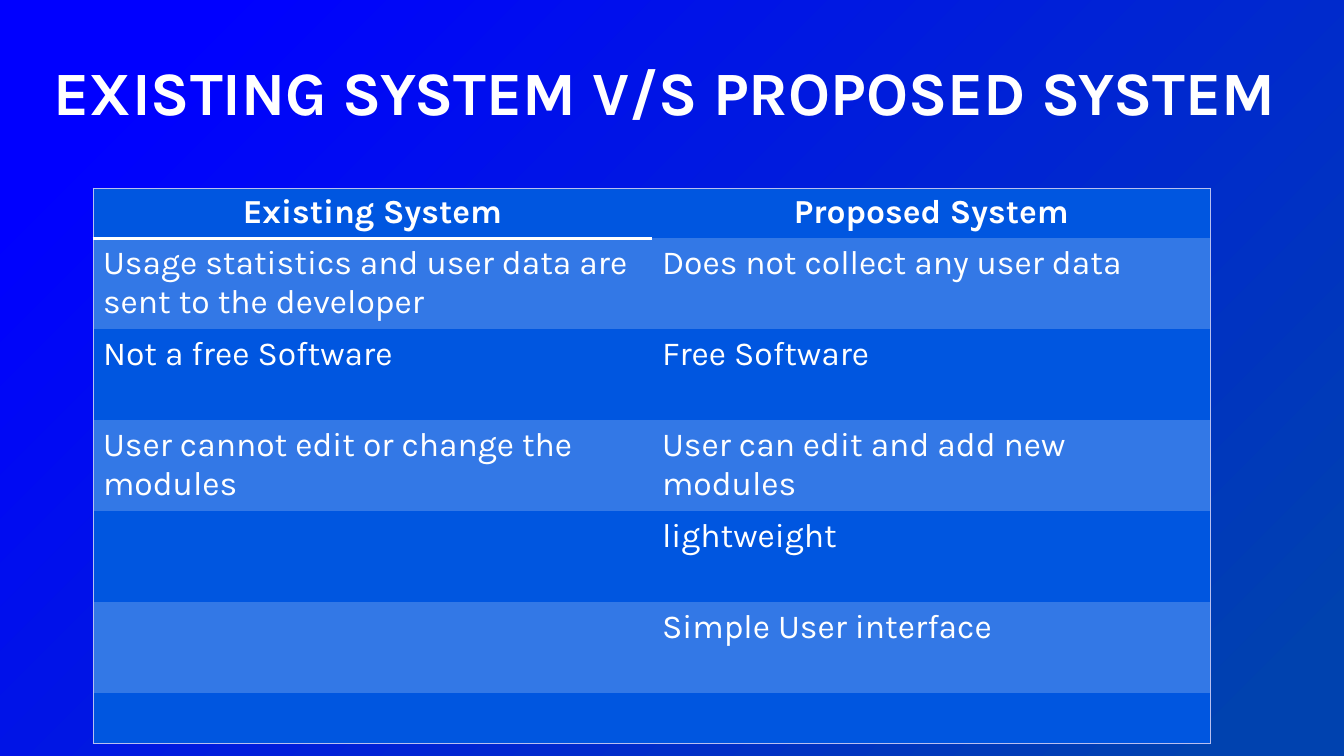
from lxml.etree import SubElement
from pptx import Presentation
from pptx.dml.color import RGBColor
from pptx.enum.text import MSO_ANCHOR, MSO_AUTO_SIZE, PP_ALIGN
from pptx.oxml.ns import qn
from pptx.util import Pt

TITLE = "EXISTING SYSTEM V/S PROPOSED SYSTEM"
ROWS = [
    ("Existing System", "Proposed System"),
    ("Usage statistics and user data are sent to the developer",
     "Does not collect any user data"),
    ("Not a free Software", "Free Software"),
    ("User cannot edit or change the modules", "User can edit and add new modules"),
    ("", "lightweight"),
    ("", "Simple User interface"),
    ("", ""),
]

FONT = "Karla"
WHITE = RGBColor(0xFF, 0xFF, 0xFF)
CELL_BLUE = RGBColor(0x00, 0x56, 0xE0)
BAND_BLUE = RGBColor(0x33, 0x78, 0xE6)
FRAME_LILAC = RGBColor(0xB7, 0xBF, 0xF0)
GRADIENT = [(0.10, RGBColor(0x00, 0x00, 0xFF)), (0.94, RGBColor(0x00, 0x42, 0xAF))]
NO_STYLE = "{2D5ABB26-0587-4C30-8999-92F81FD0307C}"

SLIDE_WIDTH, SLIDE_HEIGHT = 1344, 756
TITLE_BOX = (44, 57, 1397, 78)
TABLE_LEFT, TABLE_TOP, COLUMN_WIDTH = 93, 188, 559
END_ROW_HEIGHT, BODY_ROW_HEIGHT = 50, 91


def px(length):
    return round(length * 914400 / 100.8)


def add_text(paragraph, text, size, bold):
    run = paragraph.add_run()
    run.text = text
    run.font.name = FONT
    run.font.size = Pt(size)
    run.font.bold = bold
    run.font.color.rgb = WHITE


def add_border(cell, side, color, points):
    """Draw one cell edge; call in the order L, R, T, B and before the fill."""
    line = SubElement(cell._tc.get_or_add_tcPr(), qn(f"a:ln{side}"), w=str(Pt(points)))
    SubElement(SubElement(line, qn("a:solidFill")), qn("a:srgbClr"), val=str(color))


def add_title(slide):
    frame = slide.shapes.add_textbox(*map(px, TITLE_BOX)).text_frame
    frame.word_wrap = True
    frame.auto_size = MSO_AUTO_SIZE.SHAPE_TO_FIT_TEXT
    frame.vertical_anchor = MSO_ANCHOR.MIDDLE
    paragraph = frame.paragraphs[0]
    paragraph.line_spacing = 0.9
    paragraph.space_before = Pt(4)
    add_text(paragraph, TITLE, 44, True)


def add_comparison(slide):
    last_row, last_column = len(ROWS) - 1, len(ROWS[0]) - 1
    heights = [END_ROW_HEIGHT if row in (0, last_row) else BODY_ROW_HEIGHT
               for row in range(len(ROWS))]
    table = slide.shapes.add_table(
        len(ROWS), len(ROWS[0]), px(TABLE_LEFT), px(TABLE_TOP),
        px(COLUMN_WIDTH * len(ROWS[0])), px(sum(heights))).table
    table._tbl.tblPr.find(qn("a:tableStyleId")).text = NO_STYLE
    for column in table.columns:
        column.width = px(COLUMN_WIDTH)

    for row, texts in enumerate(ROWS):
        table.rows[row].height = px(heights[row])
        for column, text in enumerate(texts):
            cell = table.cell(row, column)
            outer_sides = {"L": column == 0, "R": column == last_column,
                           "T": row == 0, "B": row == last_row}
            for side, is_outer in outer_sides.items():
                if is_outer:
                    add_border(cell, side, FRAME_LILAC, 0.75)
            if row == 0 and column == 0:
                add_border(cell, "B", WHITE, 3)
            cell.fill.solid()
            cell.fill.fore_color.rgb = BAND_BLUE if row % 2 else CELL_BLUE
            if text:
                paragraph = cell.text_frame.paragraphs[0]
                paragraph.alignment = PP_ALIGN.LEFT if row else PP_ALIGN.CENTER
                add_text(paragraph, text, 24, row == 0)


def main():
    presentation = Presentation()
    presentation.slide_width = px(SLIDE_WIDTH)
    presentation.slide_height = px(SLIDE_HEIGHT)
    slide = presentation.slides.add_slide(presentation.slide_layouts[6])
    background = slide.background.fill
    background.gradient()
    background.gradient_angle = 315
    for stop, (position, color) in zip(background.gradient_stops, GRADIENT):
        stop.position = position
        stop.color.rgb = color
    add_title(slide)
    add_comparison(slide)
    presentation.save("out.pptx")


if __name__ == "__main__":
    main()
